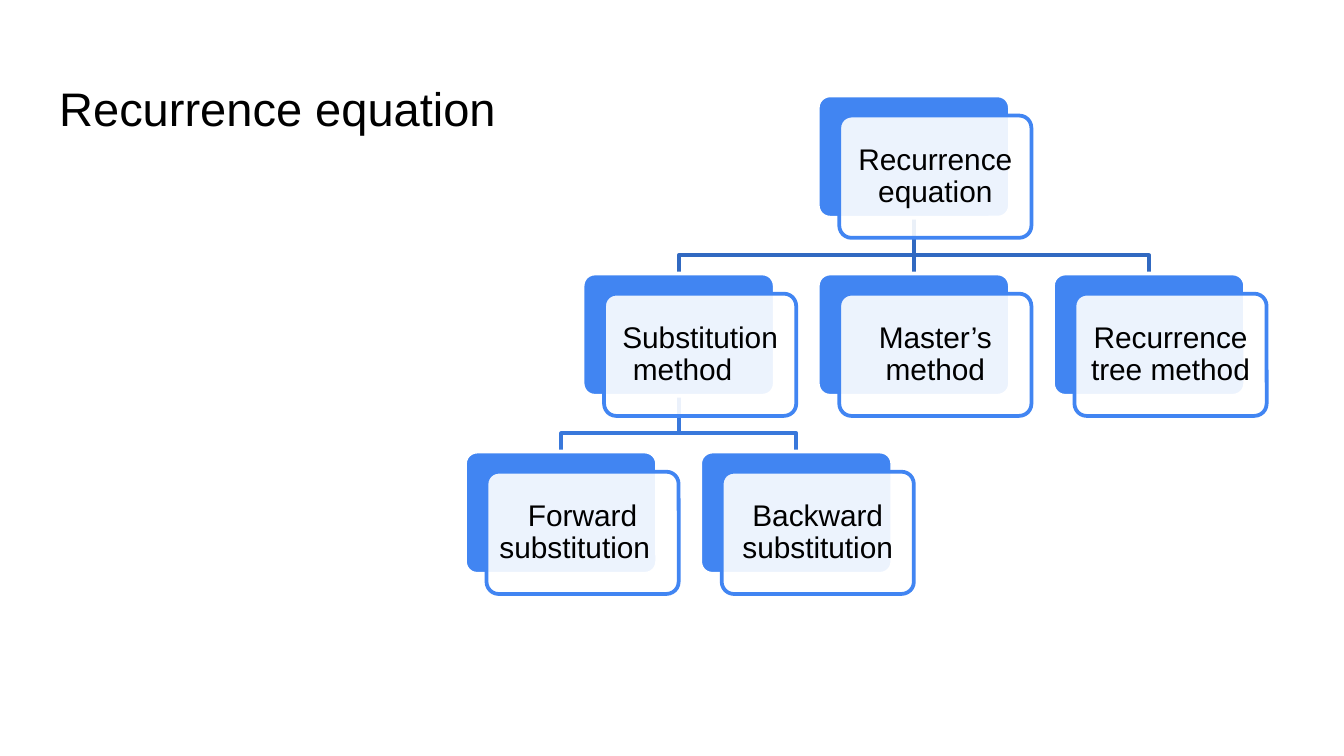
from lxml.etree import SubElement
from pptx import Presentation
from pptx.dml.color import RGBColor
from pptx.enum.shapes import MSO_CONNECTOR as Connector, MSO_SHAPE as Shape
from pptx.enum.text import MSO_ANCHOR as Anchor, MSO_AUTO_SIZE as AutoSize, PP_ALIGN as Align
from pptx.oxml.ns import qn
from pptx.util import Inches, Pt

BLACK = RGBColor(0x00, 0x00, 0x00)
WHITE = RGBColor(0xFF, 0xFF, 0xFF)
BLUE = RGBColor(0x41, 0x85, 0xF2)
UPPER_LINK = RGBColor(0x31, 0x69, 0xC1)
LOWER_LINK = RGBColor(0x39, 0x78, 0xDB)

CARD_WIDTH, CARD_HEIGHT = 1.43, 0.91
SHIFT_X, SHIFT_Y = 0.16, 0.15
TOP, BOTTOM_TOP = 0.71, 3.36
LEVEL_STEP = (BOTTOM_TOP - TOP) / 2
BEND_DROP = 0.28
ROOT_X, SIBLING_STEP = 6.8, 1.75
SUBSTITUTION_X = ROOT_X - SIBLING_STEP

NODES = [
    ("Recurrence equation", ROOT_X, 0),
    ("Substitution method\t", SUBSTITUTION_X, 1),
    ("Forward substitution\t", SUBSTITUTION_X - SIBLING_STEP / 2, 2),
    ("Backward substitution", SUBSTITUTION_X + SIBLING_STEP / 2, 2),
    ("Master’s method", ROOT_X, 1),
    ("Recurrence tree method", ROOT_X + SIBLING_STEP, 1),
]
ROOT, SUBSTITUTION, FORWARD, BACKWARD, MASTER, TREE = range(len(NODES))
ELBOWS = [
    (ROOT, TREE, UPPER_LINK),
    (SUBSTITUTION, BACKWARD, LOWER_LINK),
    (SUBSTITUTION, FORWARD, LOWER_LINK),
    (ROOT, SUBSTITUTION, UPPER_LINK),
]


def set_font(para, size):
    """Give a paragraph the black Arial of the slide."""
    para.font.name = "Arial"
    para.font.size = Pt(size)
    para.font.color.rgb = BLACK


def set_line(shape, color):
    """Give a shape its two point line."""
    shape.line.color.rgb = color
    shape.line.width = Pt(2)


def set_frame(frame, text, margin):
    """Fill a text frame, centred vertically inside equal margins."""
    frame.text = text
    frame.word_wrap = True
    frame.vertical_anchor = Anchor.MIDDLE
    frame.margin_left = frame.margin_right = Inches(margin)
    frame.margin_top = frame.margin_bottom = Inches(margin)


def add_title(page, text):
    """Fill and place the title."""
    title = page.shapes.title
    title.left, title.top = Inches(0.34), Inches(0.49)
    title.width, title.height = Inches(9.32), Inches(0.63)
    frame = title.text_frame
    set_frame(frame, text, 0.1)
    frame.auto_size = AutoSize.NONE
    para = frame.paragraphs[0]
    para.alignment = Align.LEFT
    set_font(para, 25.2)


def add_card(page, left, top, fill, line):
    """Add one rounded card."""
    card = page.shapes.add_shape(
        Shape.ROUNDED_RECTANGLE, Inches(left), Inches(top),
        Inches(CARD_WIDTH), Inches(CARD_HEIGHT))
    card.adjustments[0] = 0.1
    card.shadow.inherit = False
    card.fill.solid()
    card.fill.fore_color.rgb = fill
    set_line(card, line)
    return card


def add_node(page, text, center, level):
    """Add a blue card under a translucent labelled one and return the blue card."""
    left, top = center - CARD_WIDTH / 2, TOP + level * LEVEL_STEP
    back = add_card(page, left, top, BLUE, WHITE)
    label = add_card(page, left + SHIFT_X, top + SHIFT_Y, WHITE, BLUE)
    color = label.element.spPr.find(qn("a:solidFill"))[0]
    SubElement(color, qn("a:alpha"), val="90000")
    set_frame(label.text_frame, text, 0.07)
    para = label.text_frame.paragraphs[0]
    para.alignment = Align.CENTER
    para.line_spacing = 0.9
    set_font(para, 16)
    return back


def add_elbow(page, parent, child, color):
    """Draw a bent link from a parent card down to a child card."""
    start_x, start_y = parent.left + parent.width // 2, parent.top + parent.height
    end_x = child.left + child.width // 2
    bend_y = start_y + Inches(BEND_DROP)
    outline = page.shapes.build_freeform(start_x, start_y)
    outline.add_line_segments(
        [(start_x, bend_y), (end_x, bend_y), (end_x, child.top)], close=False)
    elbow = outline.convert_to_shape()
    elbow.shadow.inherit = False
    elbow.fill.background()
    set_line(elbow, color)
    return elbow


def add_straight(page, parent, child, color):
    """Join a parent card to the child card right below it."""
    link = page.shapes.add_connector(Connector.STRAIGHT, 0, 0, 0, 0)
    link.begin_connect(parent, 2)
    link.end_connect(child, 0)
    set_line(link, color)
    SubElement(link.element.spPr, qn("a:effectLst"))
    return link


def main():
    """Build the slide and save it."""
    deck = Presentation()
    deck.slide_width = Inches(10)
    deck.slide_height = deck.slide_width * 9 // 16
    page = deck.slides.add_slide(deck.slide_layouts[5])
    add_title(page, "Recurrence equation")
    cards = [add_node(page, *node) for node in NODES]
    links = [add_elbow(page, cards[parent], cards[child], color)
             for parent, child, color in ELBOWS]
    links.append(add_straight(page, cards[ROOT], cards[MASTER], UPPER_LINK))
    for link in links:
        cards[ROOT].element.addprevious(link.element)
    deck.save("out.pptx")


if __name__ == "__main__":
    main()
